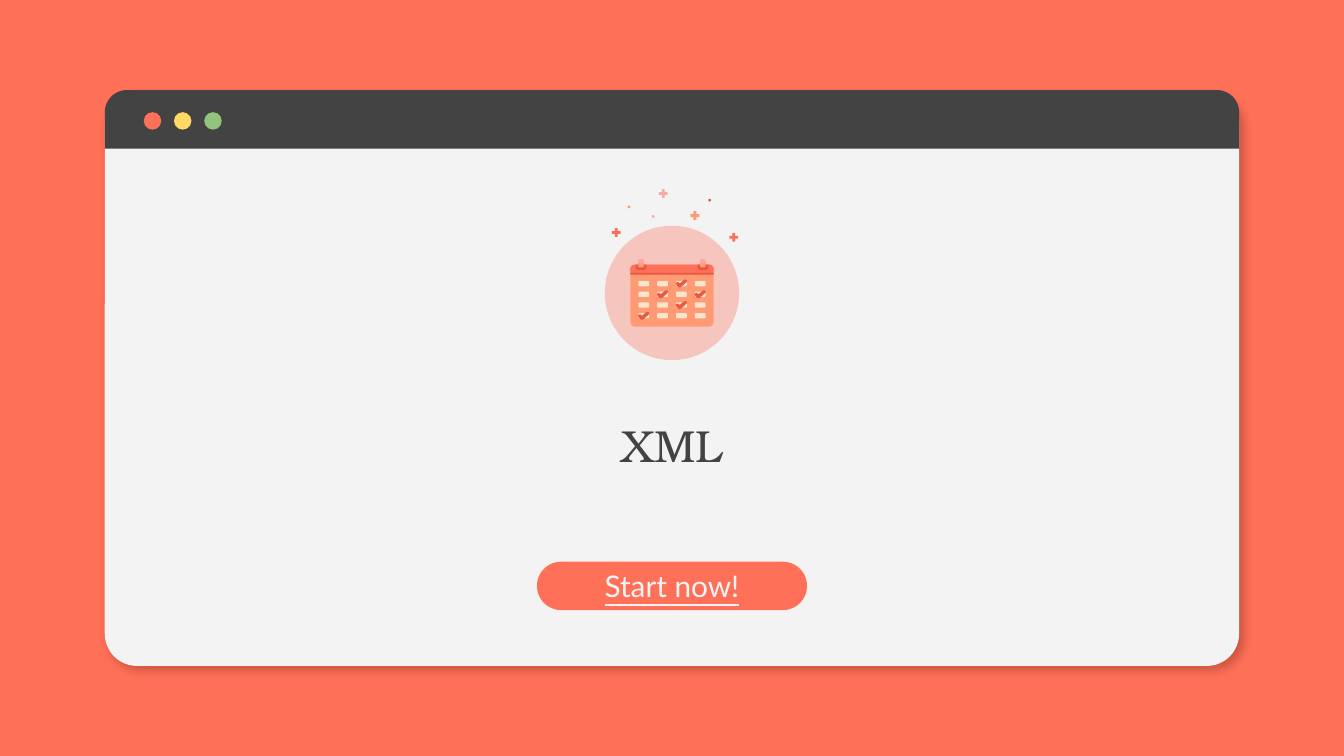
"""Build a browser-window title slide with a calendar icon and a start button."""
from lxml import etree
from pptx import Presentation
from pptx.dml.color import RGBColor
from pptx.enum.shapes import MSO_SHAPE
from pptx.enum.text import MSO_ANCHOR, MSO_AUTO_SIZE, PP_ALIGN
from pptx.oxml.ns import qn
from pptx.util import Inches, Pt

TITLE = "XML"
BUTTON_LABEL = "Start now!"
TITLE_FONT, LABEL_FONT = "TeX Gyre Bonum", "Lato"

CORAL = RGBColor(0xFF, 0x70, 0x58)
DARK = RGBColor(0x43, 0x43, 0x43)
PALE = RGBColor(0xF3, 0xF3, 0xF3)
YELLOW = RGBColor(0xFF, 0xD9, 0x66)
GREEN = RGBColor(0x93, 0xC4, 0x7D)
BLUSH = RGBColor(0xF6, 0xC5, 0xBE)
ORANGE = RGBColor(0xFF, 0x9A, 0x75)
RED = RGBColor(0xE5, 0x5A, 0x43)
PINK = RGBColor(0xF9, 0xAB, 0xA0)
CREAM = RGBColor(0xFC, 0xE5, 0xCD)
SHADOW = RGBColor(0x96, 0x3A, 0x2A)

ROUND, ROUND_TOP = MSO_SHAPE.ROUNDED_RECTANGLE, MSO_SHAPE.ROUND_2_SAME_RECTANGLE
RECT, OVAL, PLUS = MSO_SHAPE.RECTANGLE, MSO_SHAPE.OVAL, MSO_SHAPE.MATH_PLUS
CENTER, MIDDLE, TOP = PP_ALIGN.CENTER, MSO_ANCHOR.MIDDLE, MSO_ANCHOR.TOP
NO_AUTOFIT = MSO_AUTO_SIZE.NONE

COLUMNS, ROWS, CELL = 1000, 562.5, Inches(0.01)
WINDOW_LEFT, WINDOW_TOP, WINDOW_WIDTH = 78, 67, 844
WINDOW_DOTS = [CORAL, YELLOW, GREEN]
CALENDAR_LEFT, CALENDAR_TOP, CALENDAR_WIDTH = 469, 197, 62
RING_LEFTS = [473, 519]
DAY_LEFT, DAY_TOP, DAY_STEP, WEEK_STEP = 475, 209, 14, 8
WEEKS = ["..x.", ".x.x", "..x.", "x..."]
CHECK_MARK = [(7, 0), (6, 0.5), (3, 3), (2, 2), (1, 2), (0, 3), (0.5, 4),
              (2, 5.7), (3, 6), (4, 5.7), (8.3, 1.7), (8.3, 0.5)]
SPARKLES = [(PLUS, 454, 168.5, 9, CORAL), (PLUS, 541.5, 172, 9, CORAL),
            (PLUS, 512.5, 156, 9, ORANGE), (PLUS, 489, 139.5, 9, PINK),
            (OVAL, 527, 148, 2, RED), (OVAL, 485, 160, 2, PINK), (OVAL, 467, 153, 2, ORANGE)]


def grid(*lengths):
    return [int(length * CELL) for length in lengths]


def paint(shape, color):
    shape.fill.solid()
    shape.fill.fore_color.rgb = color
    shape.line.fill.background()
    shape.shadow.inherit = False
    return shape


def block(kind, left, top, width, height, color, *adjustments):
    shape = paint(shapes.add_shape(kind, *grid(left, top, width, height)), color)
    for index, value in enumerate(adjustments):
        shape.adjustments[index] = value
    return shape


def drop_shadow(shape):
    effects = shape._element.spPr.find(qn("a:effectLst"))
    outer = etree.SubElement(effects, qn("a:outerShdw"), blurRad=str(Pt(4.5)),
                             dist=str(Pt(3.8)), dir=str(49 * 60000),
                             algn="bl", rotWithShape="0")
    tint = etree.SubElement(outer, qn("a:srgbClr"), val=str(SHADOW))
    etree.SubElement(tint, qn("a:alpha"), val="47000")


def write(shape, text, font, size, color, anchor, inset, underline=None):
    frame = shape.text_frame
    frame.text = text
    frame.word_wrap = True
    frame.auto_size = NO_AUTOFIT
    frame.vertical_anchor = anchor
    frame.margin_left = frame.margin_right = Inches(0.1)
    frame.margin_top = frame.margin_bottom = inset
    paragraph = frame.paragraphs[0]
    paragraph.alignment = CENTER
    style = paragraph.runs[0].font
    style.name, style.size, style.underline = font, Pt(size), underline
    style.color.rgb = color
    return paragraph


def draw_window():
    drop_shadow(block(ROUND, WINDOW_LEFT, WINDOW_TOP + 0.5, WINDOW_WIDTH, 428, PALE, 0.056))
    block(ROUND_TOP, WINDOW_LEFT, WINDOW_TOP, WINDOW_WIDTH, 43.5, DARK, 0.38, 0)
    for index, color in enumerate(WINDOW_DOTS):
        block(OVAL, 107 + 22.5 * index, 83.5, 13, 13, color)


def draw_button():
    block(ROUND, (COLUMNS - 201) / 2, 418, 201, 36, CORAL, 0.5)
    label = block(RECT, (COLUMNS - 121) / 2, 422, 121, 19, CORAL)
    paragraph = write(label, BUTTON_LABEL, LABEL_FONT, 16, PALE, TOP, 0, True)
    paragraph.space_after = Pt(16)


def draw_check(left, top):
    points = [grid(left + x, top + y) for x, y in CHECK_MARK]
    builder = shapes.build_freeform(*points[0])
    builder.add_line_segments(points[1:], close=True)
    paint(builder.convert_to_shape(), RED)


def draw_calendar():
    block(OVAL, (COLUMNS - 100) / 2, 168, 100, 100, BLUSH)
    block(ROUND, CALENDAR_LEFT, CALENDAR_TOP, CALENDAR_WIDTH, 46, ORANGE, 0.07)
    block(ROUND_TOP, CALENDAR_LEFT, CALENDAR_TOP, CALENDAR_WIDTH, 6, CORAL, 0.5, 0)
    for left in RING_LEFTS:
        block(ROUND_TOP, left, CALENDAR_TOP, 8, 4, RED, 0, 0.5)
        block(ROUND, left + 2, CALENDAR_TOP - 4, 4, 6, ORANGE, 0.25)
        block(ROUND, left + 2, CALENDAR_TOP - 4, 4, 3, PINK, 0.33)
    block(RECT, CALENDAR_LEFT, CALENDAR_TOP + 6, CALENDAR_WIDTH, 1.5, RED)
    for week, days in enumerate(WEEKS):
        for day in range(len(days)):
            block(ROUND, DAY_LEFT + day * DAY_STEP, DAY_TOP + week * WEEK_STEP,
                  8, 4, CREAM, 0.25)
    for week, days in enumerate(WEEKS):
        for day, mark in enumerate(days):
            if mark == "x":
                draw_check(DAY_LEFT + day * DAY_STEP - 0.3, DAY_TOP + week * WEEK_STEP - 1)
    for kind, left, top, size, color in SPARKLES:
        block(kind, left, top, size, size, color)


deck = Presentation()
deck.slide_width, deck.slide_height = grid(COLUMNS, ROWS)
slide = deck.slides.add_slide(deck.slide_layouts[5])
slide.background.fill.solid()
slide.background.fill.fore_color.rgb = CORAL
shapes = slide.shapes

draw_window()
title = shapes.title
title.left, title.top, title.width, title.height = grid((COLUMNS - 405) / 2, 281.5, 405, 98)
write(title, TITLE, TITLE_FONT, 24, DARK, MIDDLE, Inches(0.1))
title._element.getparent().append(title._element)
draw_button()
draw_calendar()
deck.save("out.pptx")
